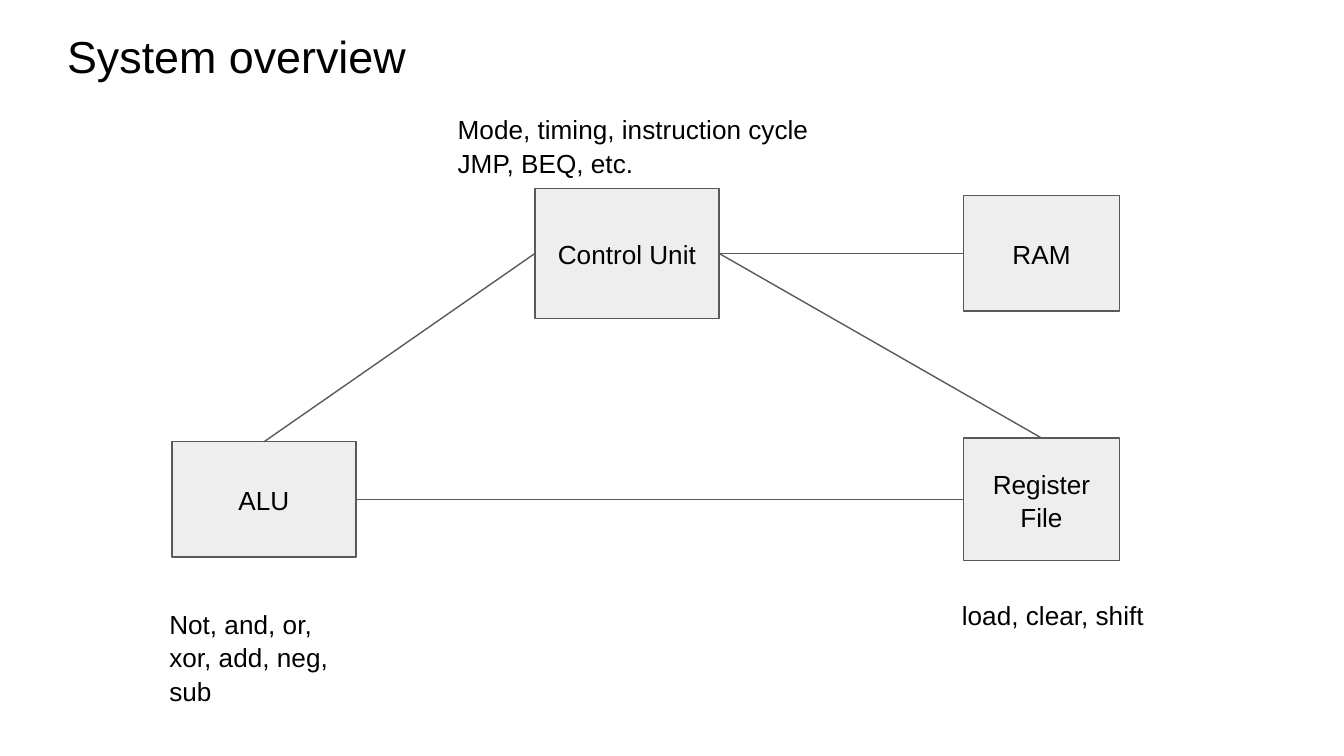
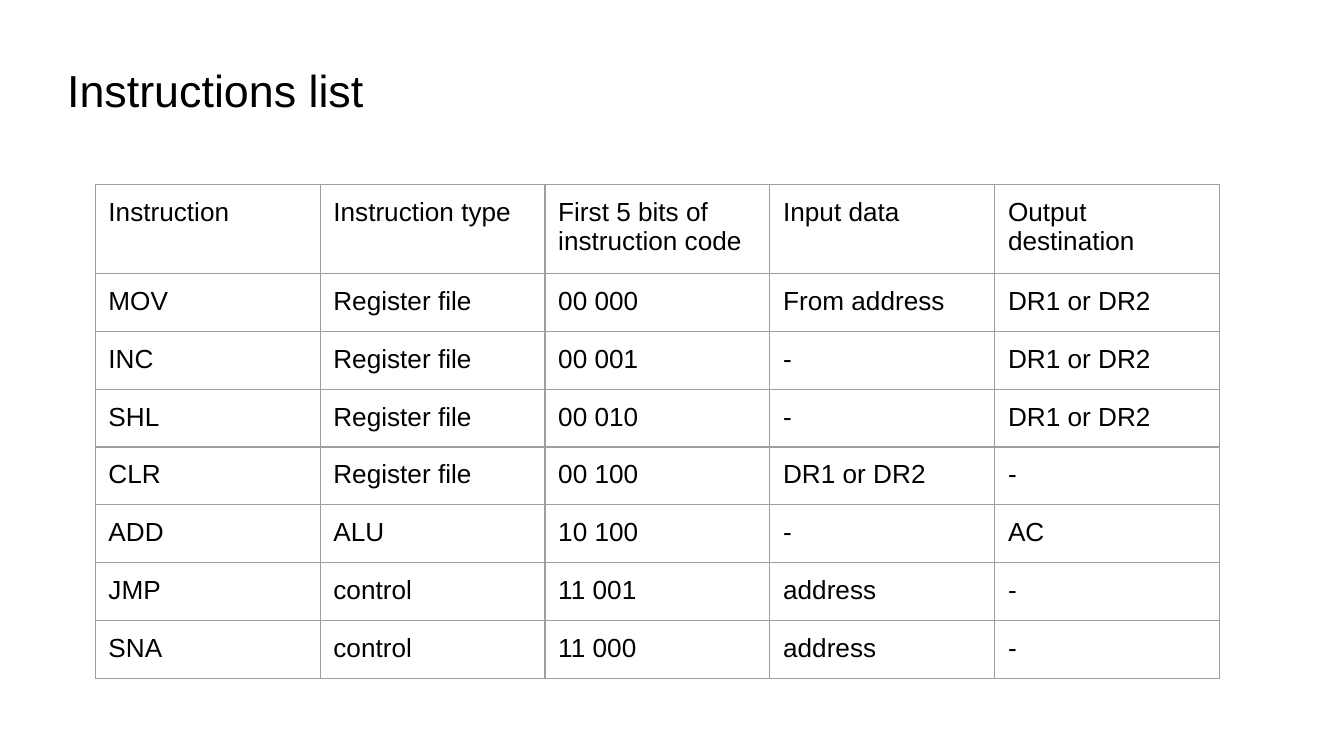
"""Build two slides on a simple processor: system overview and instruction list."""
from dataclasses import dataclass

from lxml import etree
from pptx import Presentation
from pptx.dml.color import RGBColor
from pptx.enum.shapes import MSO_CONNECTOR, MSO_SHAPE
from pptx.enum.text import MSO_ANCHOR, PP_ALIGN
from pptx.oxml.ns import qn
from pptx.util import Cm, Pt

RECT = MSO_SHAPE.RECTANGLE
STRAIGHT = MSO_CONNECTOR.STRAIGHT
LEFT, CENTER = PP_ALIGN.LEFT, PP_ALIGN.CENTER
TOP, MIDDLE = MSO_ANCHOR.TOP, MSO_ANCHOR.MIDDLE
SIDE_TOP, SIDE_LEFT, SIDE_RIGHT = 0, 1, 3


@dataclass(frozen=True)
class Theme:
    font: str = "Arial"
    text: str = "000000"
    box_fill: str = "EEEEEE"
    box_line: str = "595959"
    grid: str = "9E9E9E"
    title_size: float = 24
    body_size: float = 14
    line_width: float = 0.75
    line_spacing: float = 1.07
    inset: float = 0.25


THEME = Theme()

INSTRUCTIONS = [
    ("Instruction", "Instruction type", "First 5 bits of instruction code",
     "Input data", "Output destination"),
    ("MOV", "Register file", "00 000", "From address", "DR1 or DR2"),
    ("INC", "Register file", "00 001", "-", "DR1 or DR2"),
    ("SHL", "Register file", "00 010", "-", "DR1 or DR2"),
    ("CLR", "Register file", "00 100", "DR1 or DR2", "-"),
    ("ADD", "ALU", "10 100", "-", "AC"),
    ("JMP", "control", "11 001", "address", "-"),
    ("SNA", "control", "11 000", "address", "-"),
]


def rgb(value):
    return RGBColor.from_string(value)


def set_margins(target):
    target.margin_left = target.margin_right = Cm(THEME.inset)
    target.margin_top = target.margin_bottom = Cm(THEME.inset)


def style_paragraph(p, size, align=LEFT):
    p.alignment = align
    p.font.name = THEME.font
    p.font.size = Pt(size)
    p.font.color.rgb = rgb(THEME.text)


def write(tf, text, size, align=LEFT, anchor=TOP):
    tf.word_wrap = True
    tf.vertical_anchor = anchor
    set_margins(tf)
    tf.text = text
    for p in tf.paragraphs:
        style_paragraph(p, size, align)
        p.line_spacing = THEME.line_spacing


def style_line(line):
    line.color.rgb = rgb(THEME.box_line)
    line.width = Pt(THEME.line_width)


def add_text(s, text, left, top, width, height, size=THEME.body_size):
    box = s.shapes.add_textbox(Cm(left), Cm(top), Cm(width), Cm(height))
    write(box.text_frame, text, size)


def add_title(s, text, top):
    add_text(s, text, 1.02, top, 10.8, 1.7, THEME.title_size)


def add_unit(s, text, left, top, width, height):
    sp = s.shapes.add_shape(RECT, Cm(left), Cm(top), Cm(width), Cm(height))
    sp.shadow.inherit = False
    sp.fill.solid()
    sp.fill.fore_color.rgb = rgb(THEME.box_fill)
    style_line(sp.line)
    write(sp.text_frame, text, THEME.body_size, CENTER, MIDDLE)
    return sp


def link(s, start, start_side, end, end_side):
    line = s.shapes.add_connector(STRAIGHT, 0, 0, 0, 0)
    line.begin_connect(start, start_side)
    line.end_connect(end, end_side)
    style_line(line.line)
    etree.SubElement(line._element.spPr, qn("a:effectLst"))


def add_borders(cell):
    tc_pr = cell._tc.get_or_add_tcPr()
    for i, tag in enumerate(("a:lnL", "a:lnR", "a:lnT", "a:lnB")):
        ln = etree.Element(qn(tag), w=str(Pt(THEME.line_width)))
        fill = etree.SubElement(ln, qn("a:solidFill"))
        etree.SubElement(fill, qn("a:srgbClr"), val=THEME.grid)
        tc_pr.insert(i, ln)


def add_table(s, rows, left, top, col_width, header_height, row_height):
    height = header_height + row_height * (len(rows) - 1)
    table = s.shapes.add_table(
        len(rows), len(rows[0]), Cm(left), Cm(top),
        Cm(col_width * len(rows[0])), Cm(height)).table
    table.first_row = table.horz_banding = False
    for column in table.columns:
        column.width = Cm(col_width)
    for i, values in enumerate(rows):
        table.rows[i].height = Cm(row_height if i else header_height)
        for j, value in enumerate(values):
            cell = table.cell(i, j)
            cell.text = value
            cell.fill.background()
            set_margins(cell)
            style_paragraph(cell.text_frame.paragraphs[0], THEME.body_size)
            add_borders(cell)


def build_overview(s):
    add_title(s, "System overview", 0.23)
    control = add_unit(s, "Control Unit", 10.11, 3.56, 3.48, 2.46)
    ram = add_unit(s, "RAM", 18.21, 3.7, 2.95, 2.18)
    alu = add_unit(s, "ALU", 3.25, 8.35, 3.48, 2.18)
    registers = add_unit(s, "Register File", 18.21, 8.28, 2.95, 2.32)

    link(s, control, SIDE_LEFT, alu, SIDE_TOP)
    link(s, alu, SIDE_RIGHT, registers, SIDE_LEFT)
    link(s, control, SIDE_RIGHT, registers, SIDE_TOP)
    link(s, control, SIDE_RIGHT, ram, SIDE_LEFT)

    add_text(s, "Mode, timing, instruction cycle\nJMP, BEQ, etc.",
             8.4, 1.86, 7.52, 1.7)
    add_text(s, "Not, and, or, xor, add, neg, sub", 2.95, 11.2, 4.12, 2.03)
    add_text(s, "load, clear, shift", 17.93, 11.03, 4.12, 1.47)


def build_instructions(s):
    add_title(s, "Instructions list", 0.86)
    add_table(s, INSTRUCTIONS, 1.8, 3.48, 4.25, 1.61, 1.07)


def main():
    prs = Presentation()
    prs.slide_width, prs.slide_height = Cm(25.4), Cm(14.29)
    blank = prs.slide_layouts[6]
    for build in (build_overview, build_instructions):
        build(prs.slides.add_slide(blank))
    prs.save("out.pptx")


if __name__ == "__main__":
    main()
